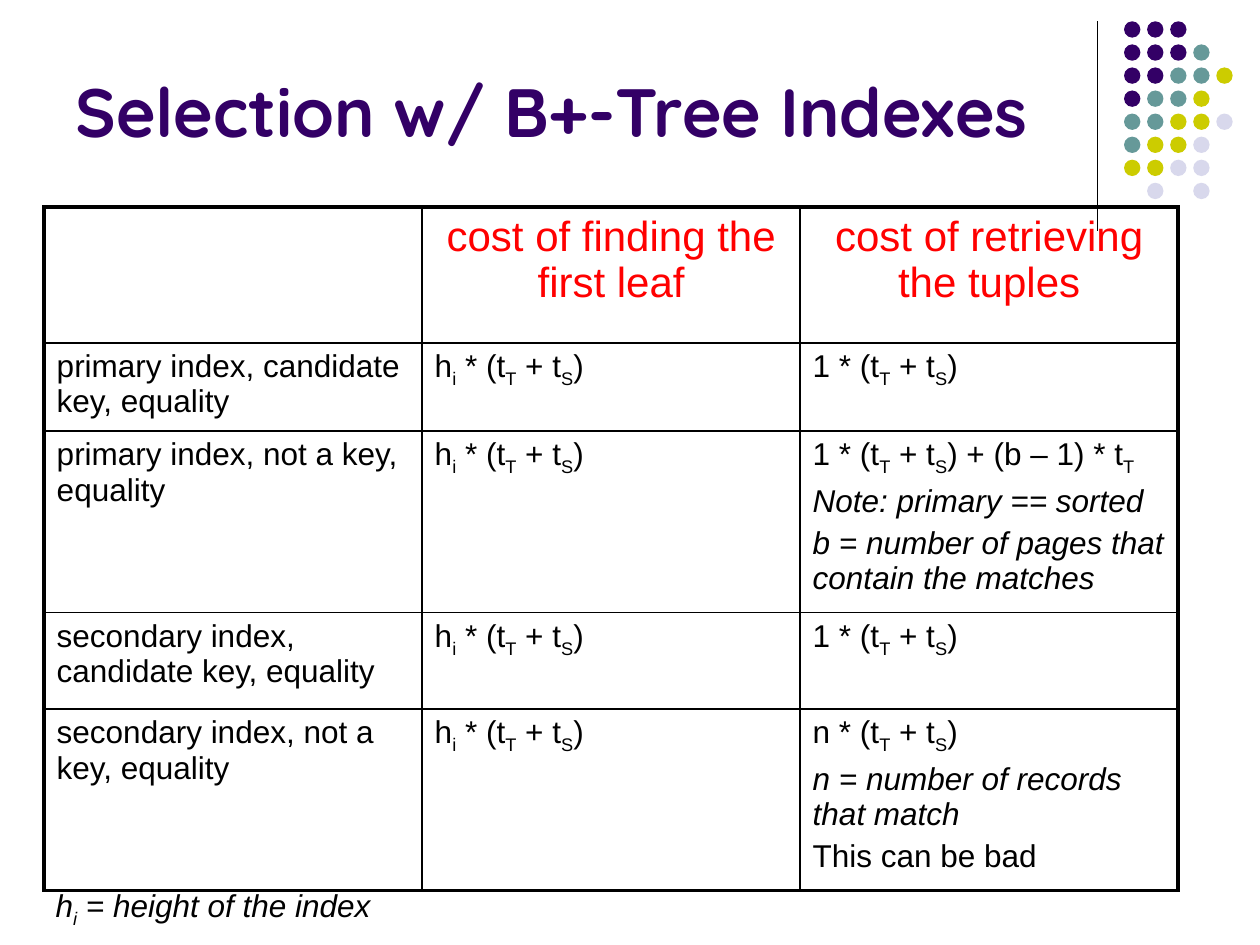
import pptx
import pptx.util
import pptx.dml.color
import pptx.enum.shapes
import pptx.enum.text
import lxml.etree

Cm = pptx.util.Cm
Pt = pptx.util.Pt
ALIGN = pptx.enum.text.PP_ALIGN
A = "http://schemas.openxmlformats.org/drawingml/2006/main"


def colour(hex_text):
    return pptx.dml.color.RGBColor.from_string(hex_text)


def write(paragraph, text, size, hex_text="000000", italic=False, font="Arial"):
    first, *rest = text.split("_")
    pieces = [(first, False)]
    for part in rest:
        pieces += [(part[0], True), (part[1:], False)]
    for piece, lowered in pieces:
        if piece:
            run = paragraph.add_run()
            run.text = piece
            run.font.size = Pt(size)
            run.font.name = font
            run.font.italic = italic
            run.font.color.rgb = colour(hex_text)
            if lowered:
                run.font._element.set("baseline", "-25000")


deck = pptx.Presentation()
deck.slide_width = Cm(25.4)
deck.slide_height = Cm(19.05)
slide = deck.slides.add_slide(deck.slide_layouts[6])
shapes = slide.shapes

divider = shapes.add_connector(
    pptx.enum.shapes.MSO_CONNECTOR.STRAIGHT, Cm(22.12), Cm(0.43), Cm(22.12), Cm(4.65))
divider.line.color.rgb = colour("000000")
divider.line.width = Pt(0.75)
lxml.etree.SubElement(divider._element.spPr, f"{{{A}}}effectLst")

dot_colours = {"P": "330066", "T": "669999", "Y": "CCCC00", "L": "D8D8EC"}
dot_rows = ["PPP", "PPPT", "PPTTY", "PTTY", "TTYYL", "TYYL", "YYLL", " L L"]
for row, letters in enumerate(dot_rows):
    for column, letter in enumerate(letters):
        if letter in dot_colours:
            dot = shapes.add_shape(
                pptx.enum.shapes.MSO_SHAPE.OVAL,
                Cm(22.66 + 0.465 * column), Cm(0.43 + 0.465 * row), Cm(0.33), Cm(0.33))
            dot.shadow.inherit = False
            dot.fill.solid()
            dot.fill.fore_color.rgb = colour(dot_colours[letter])
            dot.line.fill.background()

title = shapes.add_textbox(Cm(1.27), Cm(0.33), Cm(20.96), Cm(2.84)).text_frame
title.word_wrap = True
title.vertical_anchor = pptx.enum.text.MSO_ANCHOR.BOTTOM
write(title.paragraphs[0], "Selection w/ B+-Tree Indexes", 39, "330066", font="Quicksand")
title.paragraphs[0].runs[0].font.bold = True

leaf_cost = "h_i * (t_T + t_S)"
one_tuple = "1 * (t_T + t_S)"
costs = [
    ("", "cost of finding the first leaf", [("cost of retrieving the tuples", False)]),
    ("primary index, candidate key, equality", leaf_cost, [(one_tuple, False)]),
    ("primary index, not a key, equality", leaf_cost, [
        (one_tuple + " + (b – 1) * t_T", False),
        ("Note: primary == sorted", True),
        ("b = number of pages that contain the matches", True)]),
    ("secondary index, candidate key, equality", leaf_cost, [(one_tuple, False)]),
    ("secondary index, not a key, equality", leaf_cost, [
        ("n * (t_T + t_S)", False),
        ("n = number of records that match", True),
        ("This can be bad", False)]),
]
row_heights = [2.74, 1.78, 3.62, 1.94, 3.62]

table = shapes.add_table(
    5, 3, Cm(0.89), Cm(4.17), Cm(22.86), Cm(sum(row_heights))).table
table.first_row = False
table.horz_banding = False
for column in table.columns:
    column.width = Cm(7.62)
for row, (case, leaf, tuples) in enumerate(costs):
    table.rows[row].height = Cm(row_heights[row])
    size, ink = (24, "FF0000") if row == 0 else (18, "000000")
    for column, entries in enumerate([[(case, False)], [(leaf, False)], tuples]):
        cell = table.cell(row, column)
        cell.fill.background()
        for index, (text, italic) in enumerate(entries):
            frame = cell.text_frame
            paragraph = frame.add_paragraph() if index else frame.paragraphs[0]
            paragraph.space_before = Pt(size * 0.2)
            paragraph.alignment = ALIGN.CENTER if row == 0 else ALIGN.LEFT
            write(paragraph, text, size, ink, italic)
        outer_edges = [("lnL", column == 0), ("lnR", column == 2),
                       ("lnT", row == 0), ("lnB", row == 4)]
        for position, (edge, outer) in enumerate(outer_edges):
            border = lxml.etree.Element(f"{{{A}}}{edge}", w=str(Pt(2.25 if outer else 1)))
            fill = lxml.etree.SubElement(border, f"{{{A}}}solidFill")
            lxml.etree.SubElement(fill, f"{{{A}}}srgbClr", val="000000")
            cell._tc.tcPr.insert(position, border)

footnote = shapes.add_textbox(Cm(0.61), Cm(17.73), Cm(7.11), Cm(1.02)).text_frame
footnote.word_wrap = False
footnote.paragraphs[0].alignment = ALIGN.RIGHT
write(footnote.paragraphs[0], "h_i = height of the index", 18, italic=True)

deck.save("out.pptx")
